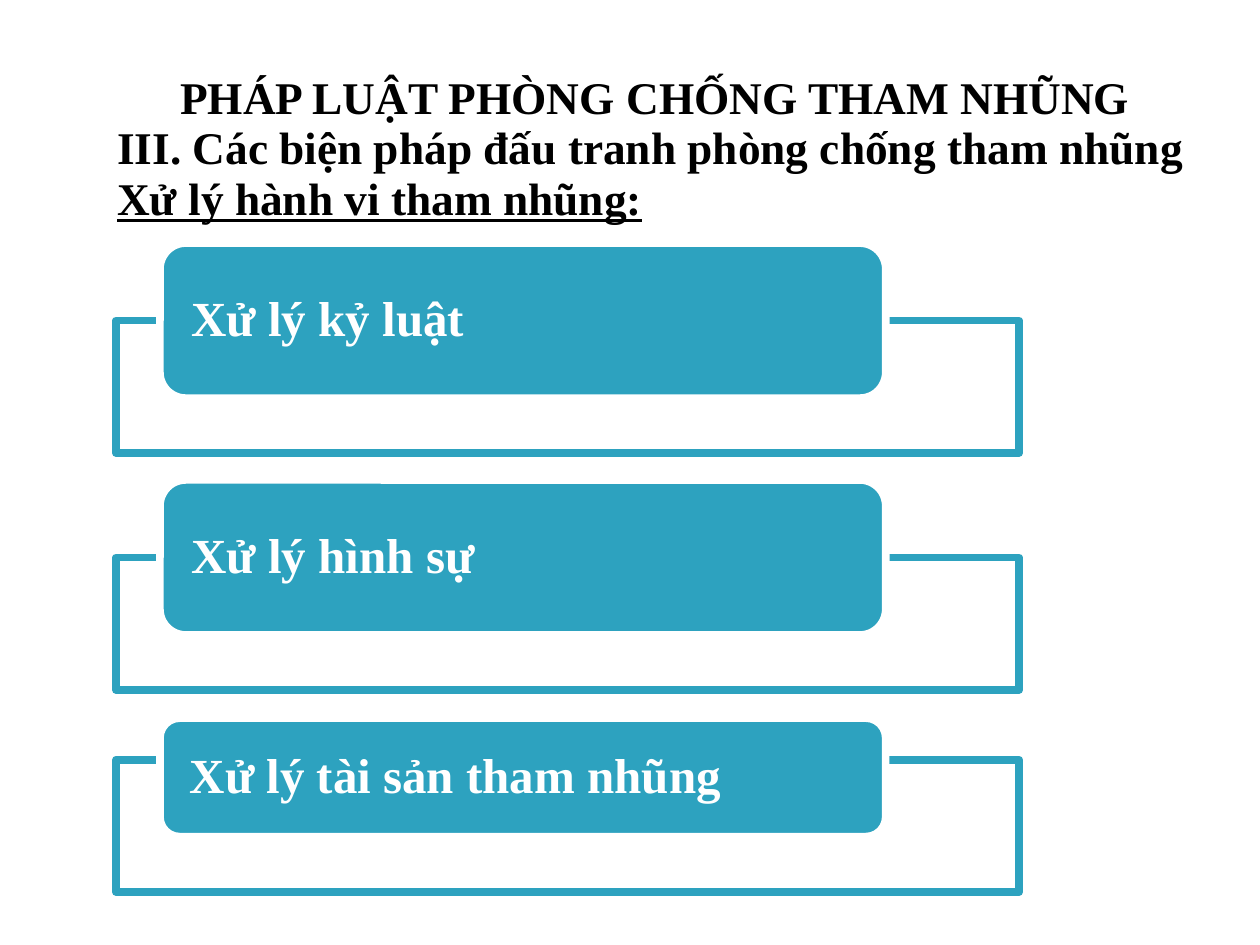
from lxml.etree import SubElement
from pptx import Presentation
from pptx.dml.color import RGBColor
from pptx.enum.shapes import MSO_SHAPE
from pptx.enum.text import MSO_ANCHOR, MSO_AUTO_SIZE, PP_ALIGN
from pptx.oxml.ns import qn
from pptx.util import Inches, Pt

FONT = "Times New Roman"
TEAL, WHITE, BLACK = "2DA2BF", "FFFFFF", "000000"
HEADINGS = [
    ("PHÁP LUẬT PHÒNG CHỐNG THAM NHŨNG", PP_ALIGN.LEFT, 0.5, 0, False),
    ("III. Các biện pháp đấu tranh phòng chống tham nhũng", PP_ALIGN.JUSTIFY, 0.62, -0.62, False),
    ("Xử lý hành vi tham nhũng:", PP_ALIGN.JUSTIFY, 0.62, -0.62, True),
]
MEASURES = [
    ("Xử lý kỷ luật", 1.93, 1.23),
    ("Xử lý hình sự", 3.81, 1.23),
    ("Xử lý tài sản tham nhũng", 5.7, 0.94),
]
LABEL_LEFT, LABEL_WIDTH = 1.27, 5.76
FRAME_LEFT, FRAME_WIDTH, FRAME_HEIGHT = 0.92, 7.17, 1.05


def color(value):
    """Turn a hex string into a colour."""
    return RGBColor.from_string(value)


def style_paragraph(paragraph, size, hex_color, line_spacing):
    """Set the bold serif font and line spacing of a paragraph."""
    paragraph.line_spacing = line_spacing
    font = paragraph.font
    font.name, font.size, font.bold = FONT, Pt(size), True
    font.color.rgb = color(hex_color)


def fill_title(title):
    """Place the title and write its three heading lines."""
    title.left, title.top = Inches(0.83), Inches(0.58)
    title.width, title.height = Inches(9), Inches(1.33)
    frame = title.text_frame
    frame.word_wrap, frame.auto_size = True, MSO_AUTO_SIZE.NONE
    frame.vertical_anchor = MSO_ANCHOR.TOP
    frame.text = "\n".join(heading[0] for heading in HEADINGS)
    for paragraph, heading in zip(frame.paragraphs, HEADINGS):
        _, alignment, margin, indent, underline = heading
        style_paragraph(paragraph, 25.9, BLACK, 0.8)
        paragraph.alignment = alignment
        paragraph.space_before = Pt(4)
        paragraph.font.underline = underline
        properties = paragraph._p.get_or_add_pPr()
        properties.set("marL", str(Inches(margin)))
        properties.set("indent", str(Inches(indent)))


def add_box(page, kind, left, top, width, height, fill, line):
    """Add a filled and outlined shape without a shadow."""
    box = page.shapes.add_shape(kind, Inches(left), Inches(top), Inches(width), Inches(height))
    box.shadow.inherit = False
    box.fill.solid()
    box.fill.fore_color.rgb = color(fill)
    box.line.color.rgb = color(line)
    box.line.width = Pt(4.33)
    return box


def add_frame(page, top):
    """Add the wide outlined rectangle behind a label."""
    box = add_box(page, MSO_SHAPE.RECTANGLE, FRAME_LEFT, top, FRAME_WIDTH, FRAME_HEIGHT, WHITE, TEAL)
    fill = box._element.spPr.find(qn("a:solidFill"))
    SubElement(fill[0], qn("a:alpha")).set("val", "90000")


def add_label(page, text, top, height):
    """Add a rounded label holding the name of a measure."""
    box = add_box(page, MSO_SHAPE.ROUNDED_RECTANGLE, LABEL_LEFT, top, LABEL_WIDTH, height, TEAL, WHITE)
    frame = box.text_frame
    frame.word_wrap, frame.vertical_anchor = True, MSO_ANCHOR.MIDDLE
    frame.margin_left = frame.margin_right = Inches(0.19)
    frame.margin_top = frame.margin_bottom = 0
    paragraph = frame.paragraphs[0]
    paragraph.text, paragraph.alignment = text, PP_ALIGN.LEFT
    style_paragraph(paragraph, 28, WHITE, 0.9)


def main():
    """Build the slide and save it."""
    deck = Presentation()
    deck.slide_width, deck.slide_height = Inches(10), Inches(7.5)
    page = deck.slides.add_slide(deck.slide_layouts[5])
    page.background.fill.solid()
    page.background.fill.fore_color.rgb = color(WHITE)
    fill_title(page.shapes.title)
    for text, top, height in MEASURES:
        add_frame(page, top + height / 2 - (0.14 if height < 1 else 0))
        add_label(page, text, top, height)
    deck.save("out.pptx")


if __name__ == "__main__":
    main()
